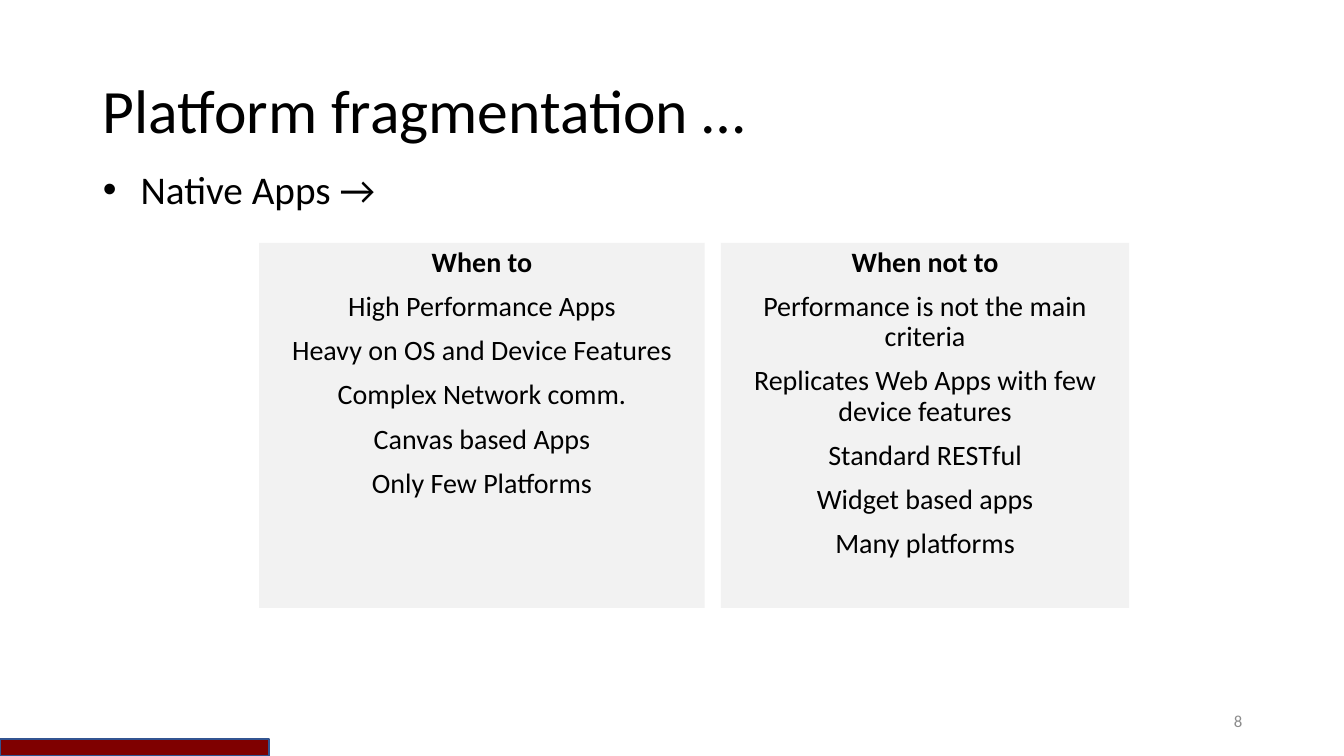
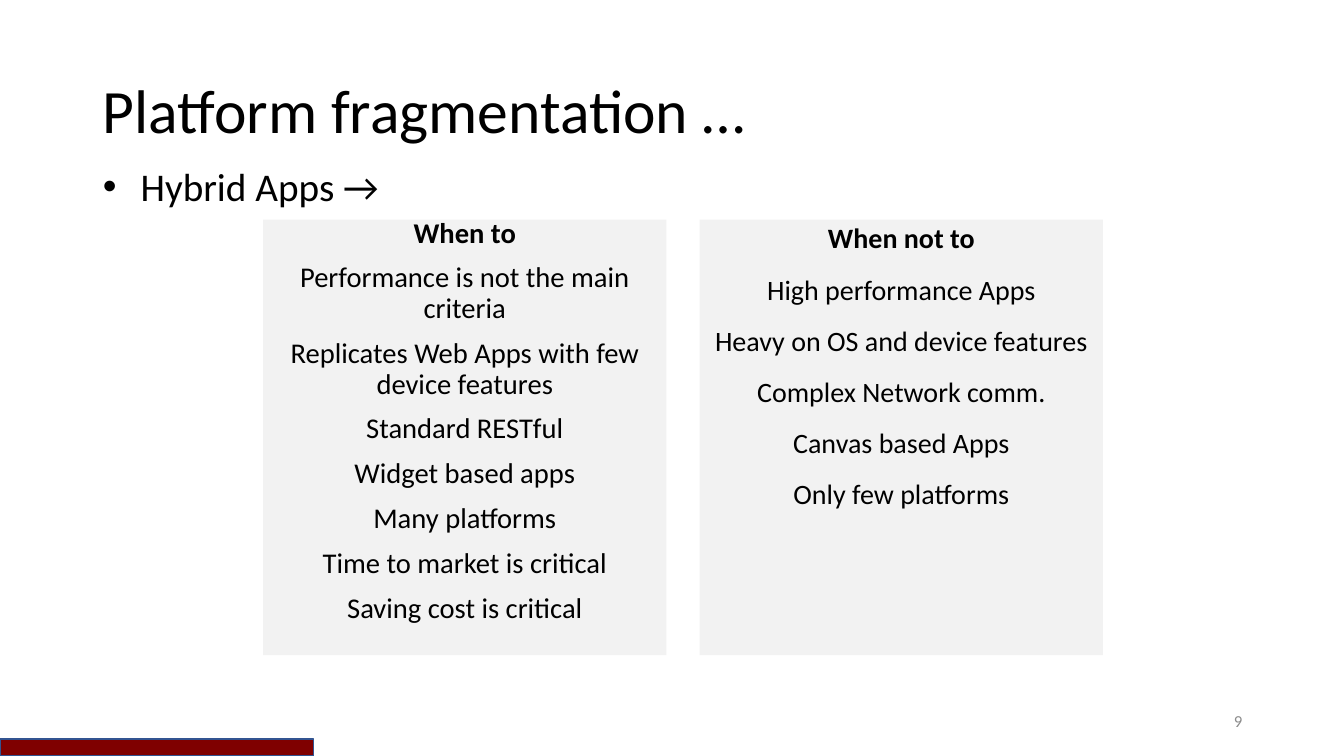
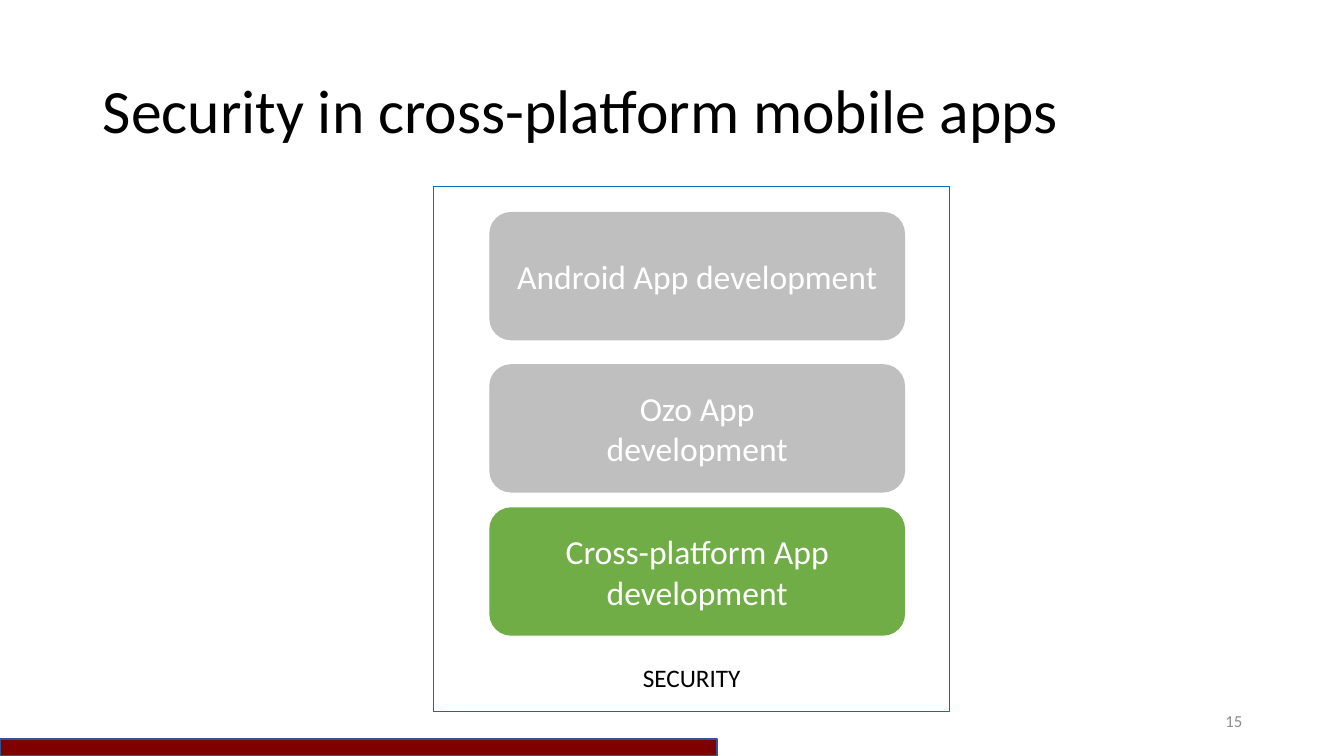
from pptx import Presentation
from pptx.dml.color import RGBColor
from pptx.enum import shapes, text
from pptx.oxml import ns
from pptx.util import Inches, Pt
from lxml import etree

BLACK = RGBColor(0x00, 0x00, 0x00)
WHITE = RGBColor(0xFF, 0xFF, 0xFF)
PANEL = RGBColor(0xF2, 0xF2, 0xF2)
SILVER = RGBColor(0xBF, 0xBF, 0xBF)
NUMBER_GREY = RGBColor(0x8C, 0x8C, 0x8C)
GREEN = RGBColor(0x70, 0xAD, 0x47)
FRAME_BLUE = RGBColor(0x00, 0x70, 0xC0)
BAR_RED = RGBColor(0x7F, 0x00, 0x00)
BAR_EDGE = RGBColor(0x32, 0x54, 0x91)

FONT = "Calibri"
SLIDE_WIDTH = 13.33
LEFT, CONTENT_WIDTH = 0.92, 11.5
BAR_STEPS = 30
LEFT_ALIGN, CENTER, RIGHT = text.PP_ALIGN.LEFT, text.PP_ALIGN.CENTER, text.PP_ALIGN.RIGHT
TOP, MIDDLE, BOTTOM = text.MSO_ANCHOR.TOP, text.MSO_ANCHOR.MIDDLE, text.MSO_ANCHOR.BOTTOM
RECTANGLE = shapes.MSO_SHAPE.RECTANGLE
ROUNDED = shapes.MSO_SHAPE.ROUNDED_RECTANGLE


def add_box(slide, kind, area, fill, edge=None):
    box = slide.shapes.add_shape(kind, *map(Inches, area))
    box.shadow.inherit = False
    box.fill.solid()
    box.fill.fore_color.rgb = fill
    if edge is None:
        box.line.fill.background()
    else:
        box.line.color.rgb = edge
        box.line.width = Pt(1)
    return box


def write(shape, lines, size, color, align, anchor=MIDDLE, spacing=1.0):
    """Fill a shape with one paragraph per line and return the paragraphs."""
    frame = shape.text_frame
    frame.word_wrap = True
    frame.auto_size = text.MSO_AUTO_SIZE.NONE
    frame.vertical_anchor = anchor
    frame.text = "\n".join(lines)
    for para in frame.paragraphs:
        para.alignment = align
        para.line_spacing = spacing
        para.space_before = Pt(0)
        para.font.name = FONT
        para.font.size = Pt(size)
        para.font.color.rgb = color
    return frame.paragraphs


# Column: left, width, size, heading spacing, item spacing, lines
native_columns = [
    (2.57, 4.42, 20, 0.9, 0.9, [
        "When to", "High Performance Apps", "Heavy on OS and Device Features",
        "Complex Network comm.", "Canvas based Apps", "Only Few Platforms"]),
    (7.15, 4.05, 20, 0.9, 0.9, [
        "When not to", "Performance is not the main criteria",
        "Replicates Web Apps with few device features", "Standard RESTful",
        "Widget based apps", "Many platforms"]),
]
hybrid_columns = [
    (2.61, 4, 20.4, 0.7, 0.9, [
        "When to", "Performance is not the main criteria",
        "Replicates Web Apps with few device features", "Standard RESTful",
        "Widget based apps", "Many platforms", "Time to market is critical",
        "Saving cost is critical"]),
    (6.94, 4, 20, 0.9, 1.1, [
        "When not to", "High performance Apps", "Heavy on OS and device features",
        "Complex Network comm.", "Canvas based Apps", "Only few platforms"]),
]
# Comparison: subtitle, subtitle top, panel top, panel height, columns
native = ("Native Apps →", 1.7, 2.41, 3.62, native_columns)
hybrid = ("Hybrid Apps →", 1.67, 2.18, 4.32, hybrid_columns)

# Page: title, number, progress steps, comparison
pages = [
    ("Platform fragmentation …", 8, 6, native),
    ("Platform fragmentation …", 9, 7, hybrid),
    ("Security in cross-platform mobile apps", 15, 16, None),
]
cards = [
    (2.11, SILVER, ["Android App development"]),
    (3.62, SILVER, ["Ozo App", "development"]),
    (5.04, GREEN, ["Cross-platform App development"]),
]

deck = Presentation()
deck.slide_width, deck.slide_height = Inches(SLIDE_WIDTH), Inches(7.5)
content_layout, title_layout = deck.slide_layouts[1], deck.slide_layouts[5]

for heading, number, steps, comparison in pages:
    slide = deck.slides.add_slide(content_layout if comparison else title_layout)
    title = slide.shapes.title
    title.left, title.top = Inches(LEFT), Inches(0.4)
    title.width, title.height = Inches(CONTENT_WIDTH), Inches(1.45)
    write(title, [heading], 44, BLACK, LEFT_ALIGN, spacing=0.9)

    if comparison:
        caption, caption_top, panel_top, panel_height, columns = comparison
        subtitle = slide.placeholders[1]
        subtitle.left, subtitle.top = Inches(LEFT), Inches(caption_top)
        subtitle.width, subtitle.height = Inches(CONTENT_WIDTH), Inches(0.4)
        subtitle.text_frame.text = caption
        properties = subtitle.text_frame.paragraphs[0]._p.get_or_add_pPr()
        properties.set("marL", "0")
        properties.set("indent", "0")
        etree.SubElement(properties, ns.qn("a:buNone"))
        write(subtitle, [caption], 28, BLACK, LEFT_ALIGN, spacing=0.9)

        for left, width, size, heading_spacing, item_spacing, lines in columns:
            panel = add_box(slide, RECTANGLE, (left, panel_top, width, panel_height), PANEL)
            first, *items = write(panel, lines, size, BLACK, CENTER, TOP, item_spacing)
            first.font.bold = True
            first.line_spacing = heading_spacing
            for item in items:
                item.space_before = Pt(10)
    else:
        frame = add_box(slide, RECTANGLE, (4.3, 1.85, 5.12, 5.21), WHITE, FRAME_BLUE)
        write(frame, ["SECURITY"], 18, BLACK, CENTER, BOTTOM)
        frame.text_frame.margin_bottom = Inches(0.19)
        for top, color, lines in cards:
            card = add_box(slide, ROUNDED, (4.86, top, 4.11, 1.26), color, color)
            write(card, lines, 24, WHITE, CENTER)

    page_number = slide.shapes.add_textbox(Inches(9.42), Inches(6.95), Inches(3), Inches(0.4))
    write(page_number, [str(number)], 12, NUMBER_GREY, RIGHT)
    bar_width = round(SLIDE_WIDTH * steps / BAR_STEPS, 2)
    add_box(slide, RECTANGLE, (0, 7.33, bar_width, 0.17), BAR_RED, BAR_EDGE)

deck.save("out.pptx")
